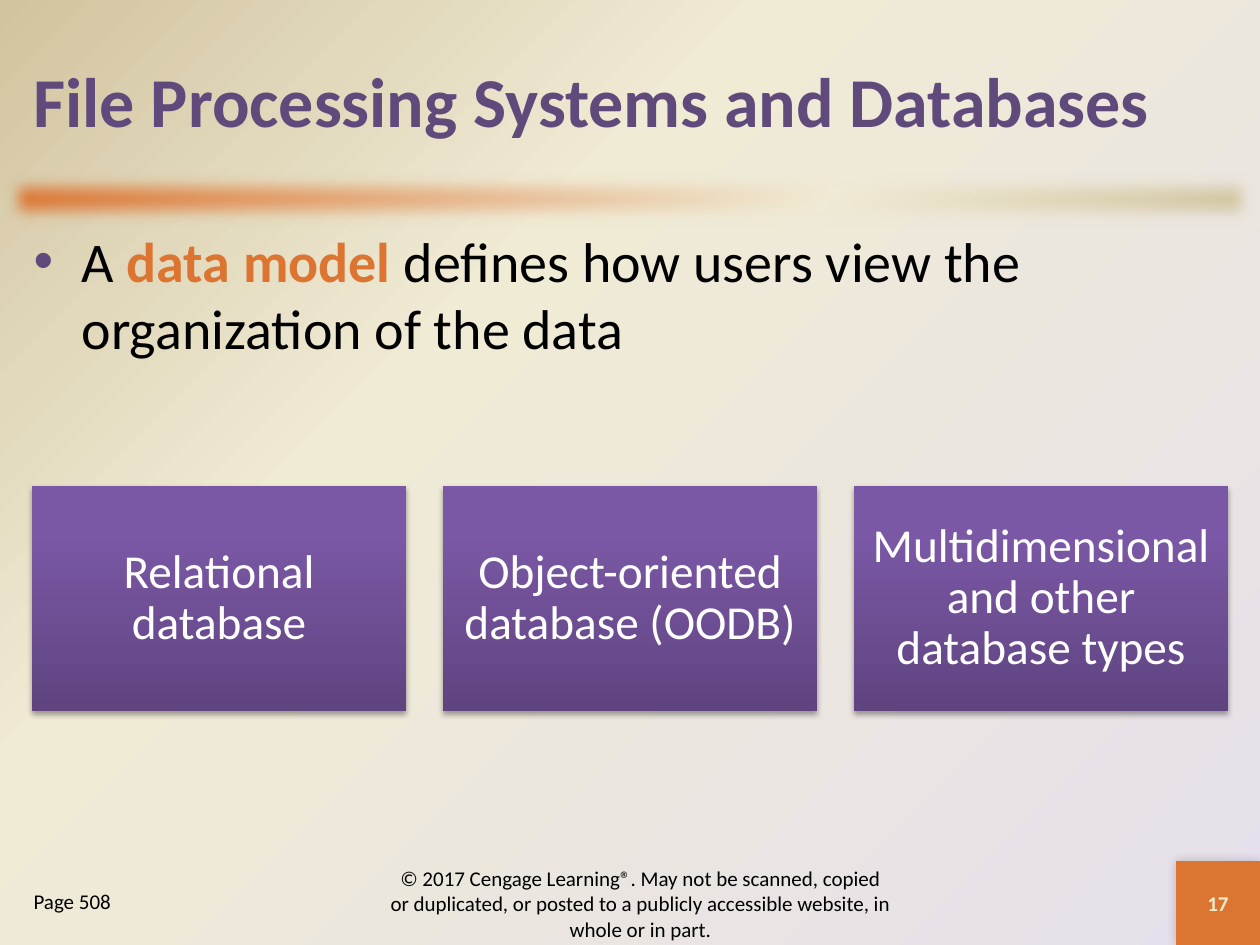
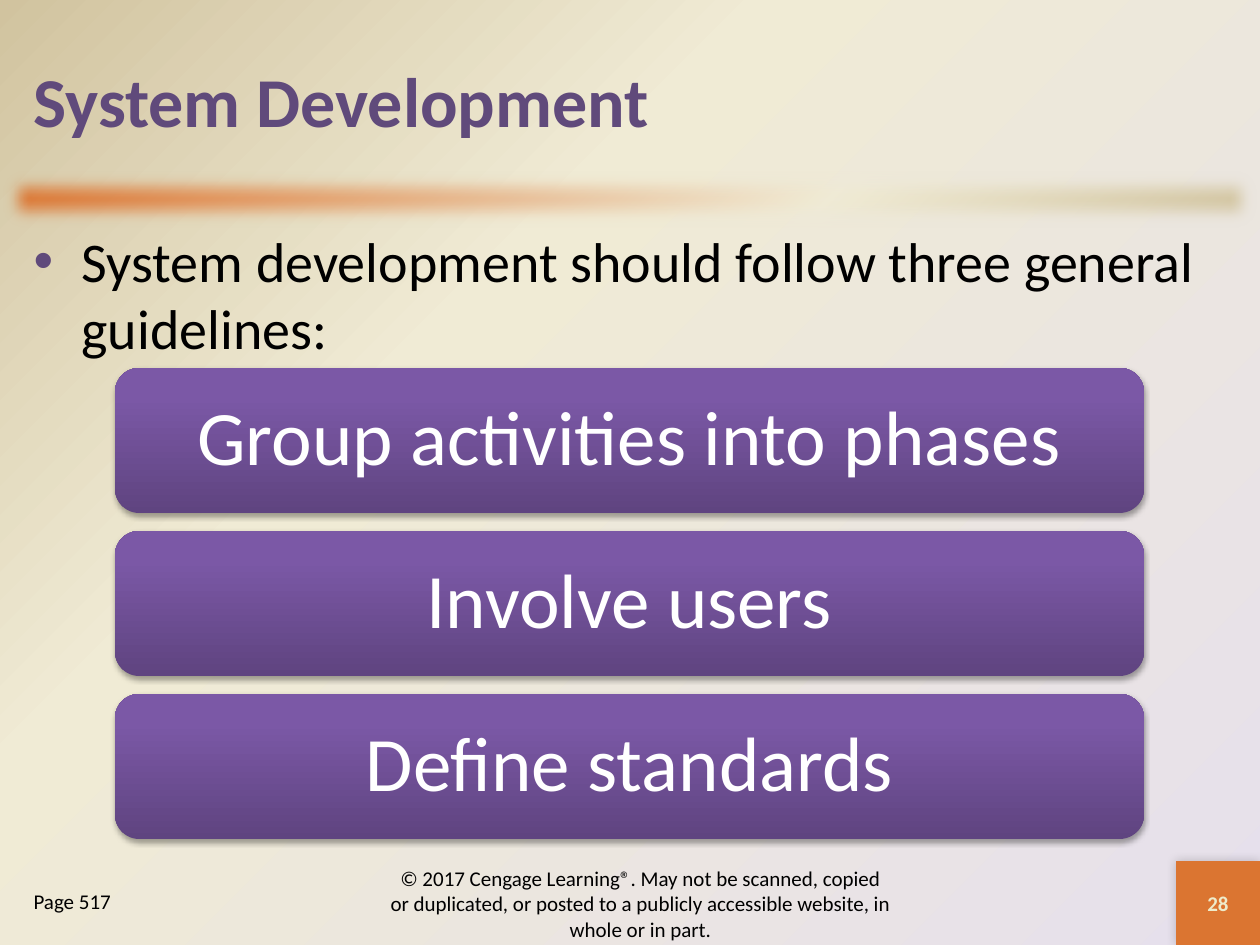
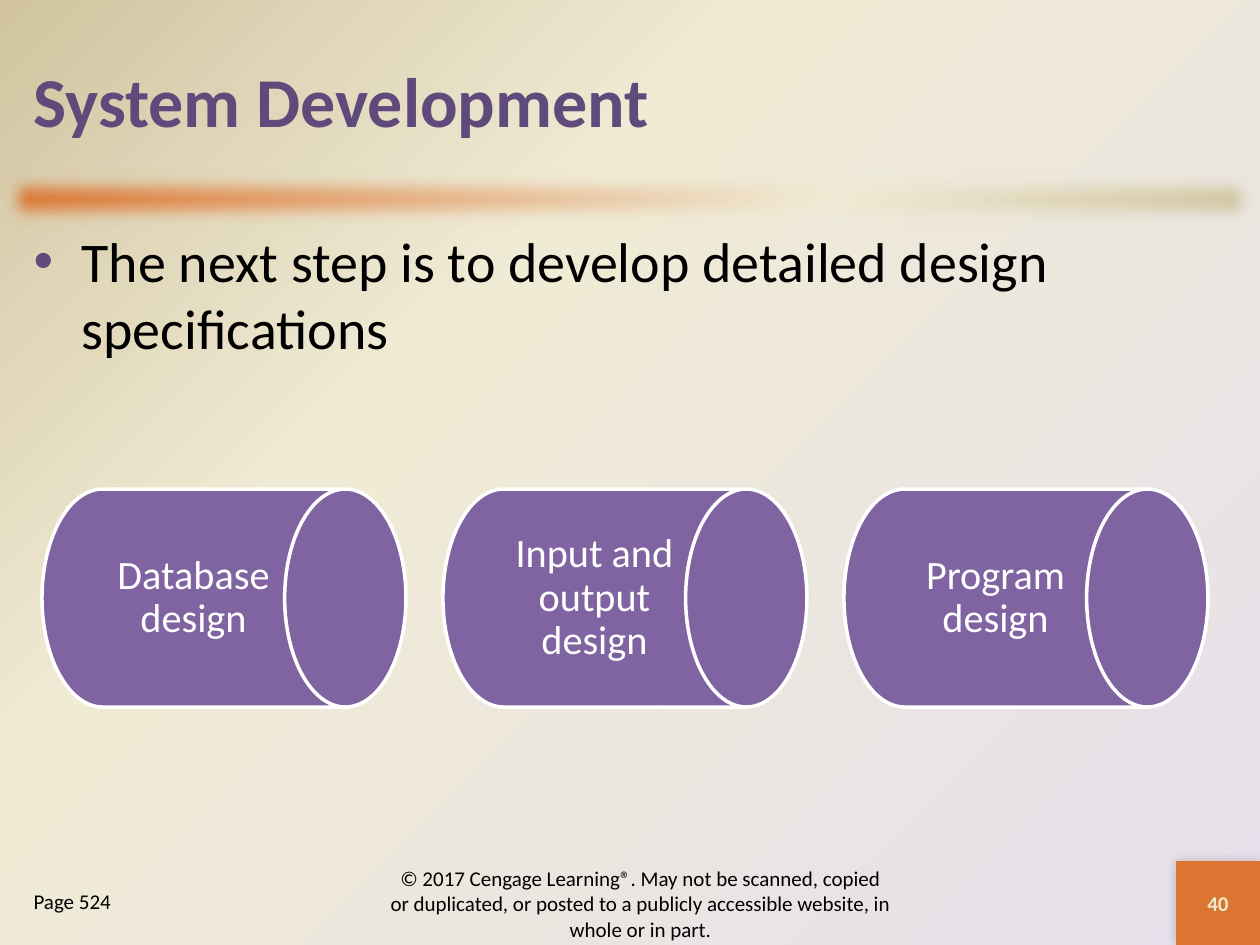
"""Build three lecture slides on databases and system development."""
from pptx import Presentation
from pptx.dml.color import RGBColor
from pptx.enum.shapes import MSO_SHAPE
from pptx.enum.text import MSO_ANCHOR, MSO_AUTO_SIZE, PP_ALIGN
from pptx.oxml import parse_xml
from pptx.oxml.ns import nsdecls, qn
from pptx.util import Emu, Pt

RECTANGLE = MSO_SHAPE.RECTANGLE
ROUNDED = MSO_SHAPE.ROUNDED_RECTANGLE
DRUM = MSO_SHAPE.FLOWCHART_DIRECT_ACCESS_STORAGE
LEFT, CENTER = PP_ALIGN.LEFT, PP_ALIGN.CENTER
TOP, MIDDLE = MSO_ANCHOR.TOP, MSO_ANCHOR.MIDDLE
NO_FIT = MSO_AUTO_SIZE.NONE

EMU_PER_PX = 914400 / 126
PURPLE, ORANGE, CREAM, TAN = "604A7B", "DB7531", "F0EBD5", "D1C39F"
LILAC, PALE, DRUM_FILL = "E6E0EC", "EEEBCA", "8064A2"
BLACK, WHITE = "000000", "FFFFFF"
BACKGROUND = [(0, LILAC), (65, CREAM), (100, TAN)]
BAND = [(0, ORANGE), (65, CREAM), (100, TAN)]
TILE = [(0, "5F4480"), (80, "7B58A6"), (100, "7C57A8")]
CORNER = '<a:path path="circle"><a:fillToRect l="100000" t="100000"/></a:path>'
SOFT_EDGE = f'<a:softEdge {nsdecls("a")} rad="127000"/>'
TILE_SHADOW = (35, 3.1, 1.8, 90)
NUMBER_SHADOW = (20, 6, 0, 225)
COPYRIGHT = ("© 2017 Cengage Learning®. May not be scanned, copied or duplicated, "
             "or posted to a publicly accessible website, in whole or in part.")


def px(length):
    """Turn px into EMU."""
    return Emu(round(length * EMU_PER_PX))


def color(value):
    """Turn a hex string into a colour."""
    return RGBColor.from_string(value)


def assign(target, values):
    """Set attributes from a dict."""
    for name, value in values.items():
        setattr(target, name, value)


def linear(angle):
    """Give the direction of a straight gradient."""
    return f'<a:lin ang="{angle * 60000}" scaled="0"/>'


def apply_gradient(fill, holder, stops, direction):
    """Fill an element with a gradient of several stops."""
    fill.gradient()
    plain = holder.find(".//" + qn("a:gradFill"))
    marks = "".join(f'<a:gs pos="{place * 1000}"><a:srgbClr val="{value}"/></a:gs>'
                    for place, value in stops)
    plain.getparent().replace(plain, parse_xml(
        f'<a:gradFill {nsdecls("a")} rotWithShape="1"><a:gsLst>{marks}</a:gsLst>'
        f'{direction}</a:gradFill>'))


class Lecture:
    """Hold the style and the current slide."""

    def __init__(self):
        """Open the deck and set its size and background."""
        self.deck = Presentation()
        assign(self.deck, {"slide_width": px(1260), "slide_height": px(945)})
        master = self.deck.slide_master
        apply_gradient(master.background.fill, master.element, BACKGROUND, CORNER)
        self.page = None

    def add_page(self, title, body, reference, number):
        """Start a slide with its title, list, band and footer."""
        self.page = self.deck.slides.add_slide(self.deck.slide_layouts[3])
        heading, points, source = self.page.placeholders
        self.place(heading, 21, 21, 1218, 158)
        self.set_text(heading, [title], 40, PURPLE, bold=True, align=LEFT)
        self.place(points, 21, 220, 1218, 640)
        self.set_text(points, body, 32, BLACK, align=LEFT, anchor=TOP)
        self.set_bullet(points, 48, "•")
        self.place(source, 21, 882, 231, 63)
        self.set_text(source, [reference], 12, BLACK, align=LEFT, anchor=TOP)
        self.set_bullet(source, 0)
        band = self.add_shape(RECTANGLE, 0, 168, 1260, 63, BAND, 45)
        self.add_effect(band, SOFT_EDGE)
        square = self.add_shape(RECTANGLE, 1176, 861, 84, 84, ORANGE)
        self.add_shadow(square, *NUMBER_SHADOW)
        self.set_text(square, [number], 12, PALE, bold=True)
        footer = self.page.shapes.add_textbox(px(378), px(872), px(525), px(63))
        self.set_text(footer, [COPYRIGHT], 12, BLACK)

    def place(self, box, left, top, width, height):
        """Move and size a box."""
        assign(box, {"left": px(left), "top": px(top),
                     "width": px(width), "height": px(height)})

    def set_text(self, box, spans, size, ink, bold=False, align=CENTER,
                 anchor=MIDDLE, spacing=1.0, inset=None):
        """Set one paragraph; a tuple span is emphasised in its own colour."""
        frame = box.text_frame
        assign(frame, {"word_wrap": True, "auto_size": NO_FIT,
                       "vertical_anchor": anchor})
        if inset is not None:
            assign(frame, {f"margin_{side}": px(inset)
                           for side in ("left", "top", "right", "bottom")})
        para = frame.paragraphs[0]
        assign(para, {"alignment": align, "line_spacing": spacing,
                      "space_before": Pt(0)})
        for content in spans:
            special = isinstance(content, tuple)
            text, shade = content if special else (content, ink)
            span = para.add_run()
            span.text = text
            assign(span.font, {"name": "Calibri", "size": Pt(size),
                               "bold": bold or special})
            span.font.color.rgb = color(shade)

    def set_bullet(self, box, indent, symbol=None):
        """Set the hanging indent and the bullet of a list."""
        settings = box.text_frame.paragraphs[0]._p.get_or_add_pPr()
        settings.set("marL", str(px(indent)))
        settings.set("indent", str(px(-indent)))
        space = nsdecls("a")
        if symbol:
            marks = [f'<a:buClr {space}><a:srgbClr val="{PURPLE}"/></a:buClr>',
                     f'<a:buFont {space} typeface="Arial"/>',
                     f'<a:buChar {space} char="{symbol}"/>']
        else:
            marks = [f"<a:buNone {space}/>"]
        for mark in marks:
            settings.append(parse_xml(mark))

    def add_shape(self, kind, left, top, width, height, paint, angle=0):
        """Add a preset shape with a solid colour or a list of stops."""
        shape = self.page.shapes.add_shape(
            kind, px(left), px(top), px(width), px(height))
        shape.shadow.inherit = False
        shape.line.fill.background()
        if isinstance(paint, str):
            shape.fill.solid()
            shape.fill.fore_color.rgb = color(paint)
        else:
            apply_gradient(shape.fill, shape.element, paint, linear(angle))
        return shape

    def add_effect(self, shape, effect):
        """Put an effect on a shape."""
        shape.element.spPr.find(qn("a:effectLst")).append(parse_xml(effect))

    def add_shadow(self, shape, opacity, blur, distance, angle):
        """Put a black outer shadow on a shape."""
        self.add_effect(shape, (
            f'<a:outerShdw {nsdecls("a")} blurRad="{Pt(blur)}" dist="{Pt(distance)}" '
            f'dir="{angle * 60000}" rotWithShape="0"><a:srgbClr val="{BLACK}">'
            f'<a:alpha val="{opacity * 1000}"/></a:srgbClr></a:outerShdw>'))

    def add_tile(self, kind, left, top, width, height, label, size, inset):
        """Add a shaded purple tile with a label."""
        tile = self.add_shape(kind, left, top, width, height, TILE, 270)
        self.add_shadow(tile, *TILE_SHADOW)
        self.set_text(tile, [label], size, WHITE, spacing=0.9, inset=inset)

    def add_drum(self, left, label):
        """Add an outlined drum with a label."""
        drum = self.add_shape(DRUM, left, 489, 364, 218, DRUM_FILL)
        drum.line.color.rgb = color(WHITE)
        drum.line.width = Pt(2)
        self.set_text(drum, [label], 23, WHITE, spacing=0.9, inset=11)


def main():
    """Build and save the deck."""
    lecture = Lecture()

    lecture.add_page(
        "File Processing Systems and Databases",
        ["A ", ("data model ", ORANGE),
         "defines how users view the organization of the data"],
        "Page 508", "17")
    models = ["Relational database", "Object-oriented database (OODB)",
              "Multidimensional and other database types"]
    for column, model in enumerate(models):
        lecture.add_tile(RECTANGLE, 32 + 411 * column, 486, 374, 225, model, 27, 14)

    lecture.add_page(
        "System Development",
        ["System development should follow three general guidelines:"],
        "Page 517", "28")
    guidelines = ["Group activities into phases", "Involve users", "Define standards"]
    for row, guideline in enumerate(guidelines):
        lecture.add_tile(ROUNDED, 115, 368 + 163 * row, 1029, 145, guideline, 44, 23)

    lecture.add_page(
        "System Development",
        ["The next step is to develop detailed design specifications"],
        "Page 524", "40")
    designs = ["Database design", "Input and output design", "Program design"]
    for column, design in enumerate(designs):
        lecture.add_drum(42 + 401 * column, design)

    lecture.deck.save("out.pptx")


if __name__ == "__main__":
    main()
